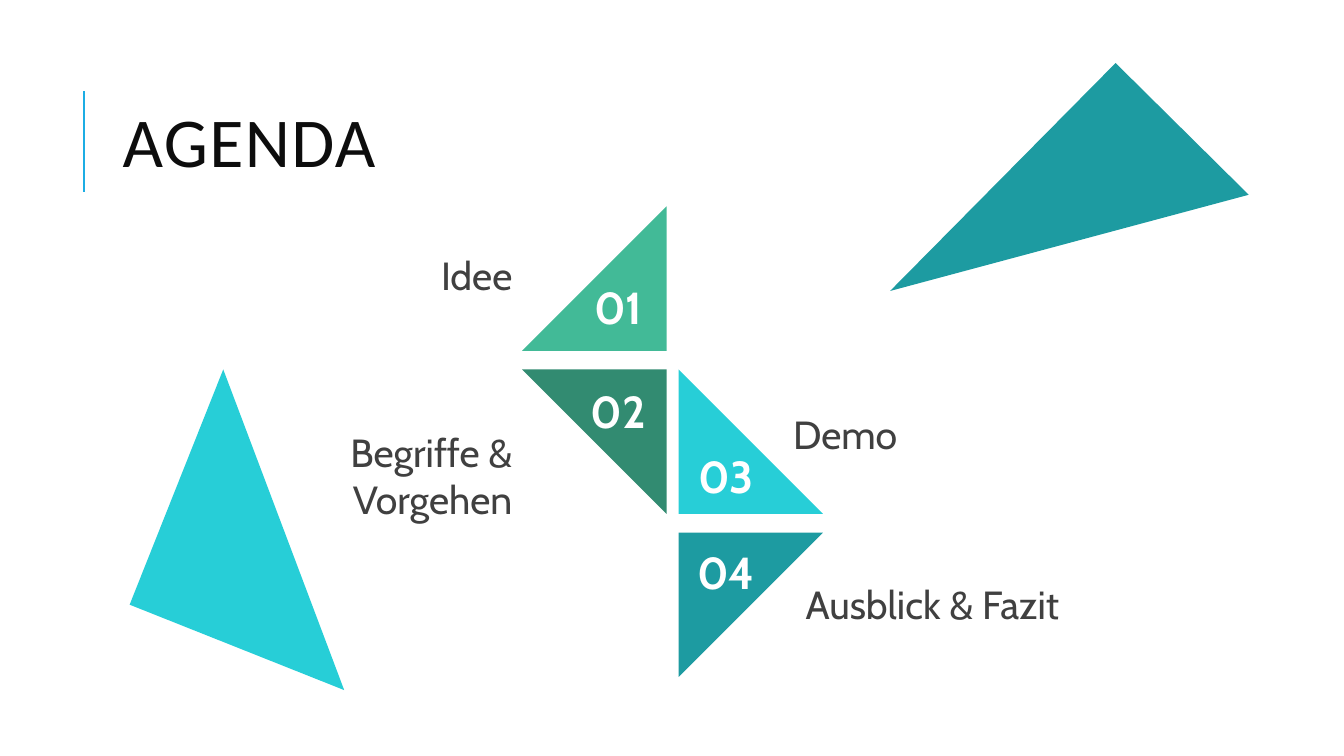
from lxml import etree
from pptx import Presentation
from pptx.dml.color import RGBColor
from pptx.enum.shapes import MSO_CONNECTOR, MSO_SHAPE
from pptx.enum.text import MSO_ANCHOR, PP_ALIGN
from pptx.oxml.ns import qn
from pptx.util import Cm, Pt

WHITE = RGBColor(0xFF, 0xFF, 0xFF)
BLACK = RGBColor(0x0D, 0x0D, 0x0D)
GREY = RGBColor(0x40, 0x40, 0x40)
BLUE = RGBColor(0x1C, 0xAD, 0xE4)
GREEN = RGBColor(0x42, 0xBA, 0x97)
DARK_GREEN = RGBColor(0x32, 0x8B, 0x71)
CYAN = RGBColor(0x27, 0xCE, 0xD7)
TEAL = RGBColor(0x1D, 0x9B, 0xA1)

prs = Presentation()
prs.slide_width, prs.slide_height = Cm(33.87), Cm(19.05)
s = prs.slides.add_slide(prs.slide_layouts[6])


def add_triangle(left, top, width, height, rotation, color):
    sp = s.shapes.add_shape(MSO_SHAPE.RIGHT_TRIANGLE, Cm(left), Cm(top), Cm(width), Cm(height))
    sp.rotation = rotation
    sp.shadow.inherit = False
    sp.fill.solid()
    sp.fill.fore_color.rgb = color
    sp.line.fill.background()


def add_text(text, box, size, color, align, font="Cabin", bold=False):
    tf = s.shapes.add_textbox(*[Cm(v) for v in box]).text_frame
    tf.word_wrap = True
    p = tf.paragraphs[0]
    p.text = text
    p.alignment = align
    p.font.name, p.font.size, p.font.bold = font, Pt(size), bold
    p.font.color.rgb = color
    return tf


# Title with accent line
line = s.shapes.add_connector(MSO_CONNECTOR.STRAIGHT, Cm(2.12), Cm(4.83), Cm(2.12), Cm(2.29))
line.line.color.rgb = BLUE
line.line.width = Pt(1.5)
etree.SubElement(line._element.spPr, qn("a:effectLst"))

tf = add_text("AGENDA", (2.84, 1.63, 27, 4.17), 50, BLACK, PP_ALIGN.LEFT, "Calibri")
tf.vertical_anchor = MSO_ANCHOR.MIDDLE
p = tf.paragraphs[0]
p.line_spacing = 0.8
p.runs[0].font._element.set("spc", "100")

# Agenda steps: column, row, rotation, colour, number top, label, label box
SIDE, ROW_STEP = 3.64, 4.11
TRIANGLE_LEFT, NUMBER_LEFT = (13.16, 17.1), (14.17, 16.89)
steps = [
    (0, 0, 270, GREEN, 6.93, "Idee", (9.32, 6.22, 3.84, 1.45)),
    (0, 1, 180, DARK_GREEN, 9.55, "Begriffe & Vorgehen", (6.99, 10.67, 6.17, 2.64)),
    (1, 1, 0, CYAN, 11.18, "Demo", (19.02, 10.21, 3.84, 1.45)),
    (1, 2, 90, TEAL, 13.59, "Ausblick & Fazit", (19.02, 14.5, 7.92, 1.45)),
]
for number, (col, row, rotation, color, number_top, label, box) in enumerate(steps, 1):
    add_triangle(TRIANGLE_LEFT[col], 5.2 + row * ROW_STEP, SIDE, SIDE, rotation, color)
    add_text(f"{number:02}", (NUMBER_LEFT[col], number_top, 2.82, 1.63), 32, WHITE,
             PP_ALIGN.CENTER, bold=True)
    add_text(label, box, 28, GREY, PP_ALIGN.RIGHT)

# Large decorative triangles
add_triangle(4.24, 10.16, 5.82, 6.38, 21.7, CYAN)
add_triangle(22.91, 3.76, 8.08, 4.72, 134.7, TEAL)

prs.save("out.pptx")
